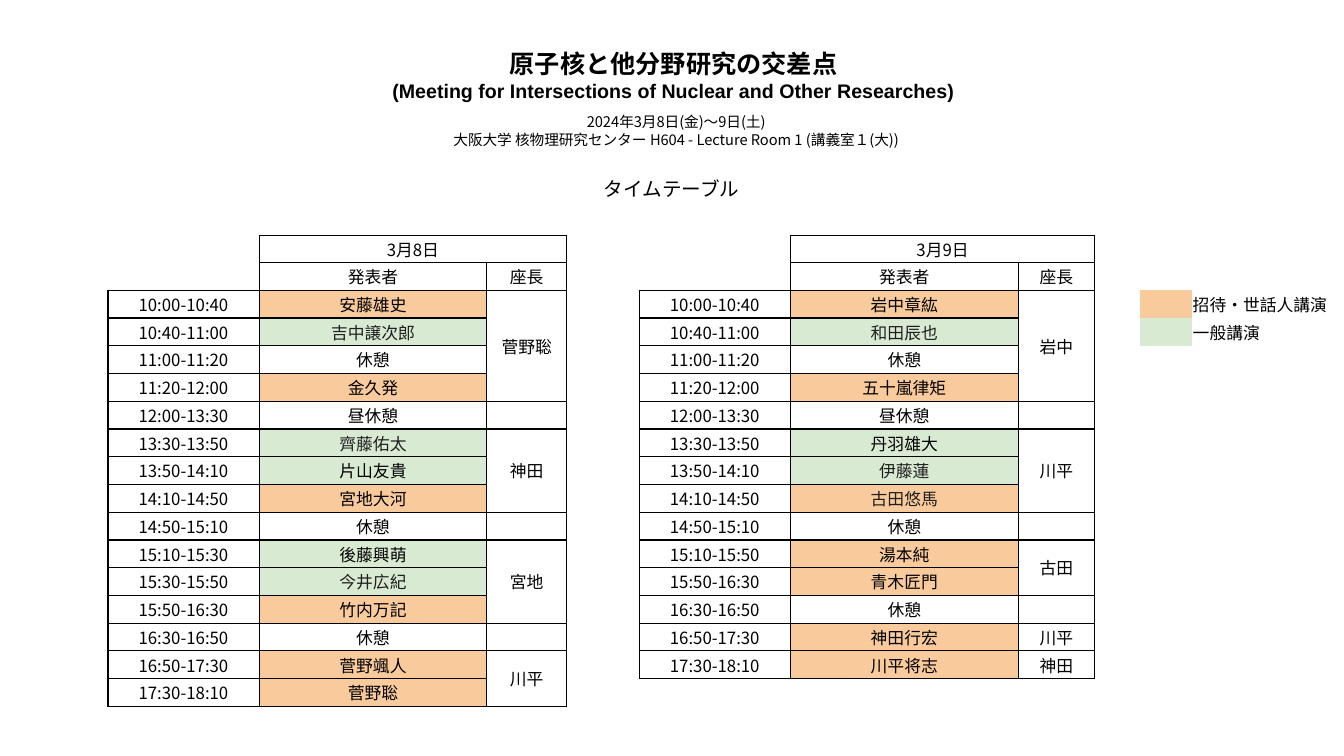
from dataclasses import dataclass
from typing import Optional

from lxml import etree
from pptx import Presentation
from pptx.dml.color import RGBColor
from pptx.enum.text import MSO_ANCHOR, MSO_AUTO_SIZE, PP_ALIGN
from pptx.oxml.ns import qn
from pptx.util import Cm, Pt

CENTER, LEFT = PP_ALIGN.CENTER, PP_ALIGN.LEFT
MIDDLE, BOTTOM = MSO_ANCHOR.MIDDLE, MSO_ANCHOR.BOTTOM
GROW = MSO_AUTO_SIZE.SHAPE_TO_FIT_TEXT

BLACK = RGBColor(0x00, 0x00, 0x00)
CHARCOAL = RGBColor(0x1F, 0x1F, 0x1F)
INVITED = RGBColor(0xF9, 0xCB, 0x9C)
GENERAL = RGBColor(0xD9, 0xEA, 0xD3)

GOTHIC, SANS = "Noto Sans CJK JP", "Arial"
NO_TABLE_STYLE = "{2D5ABB26-0587-4C30-8999-92F81FD0307C}"
TABLE_POINTS = 12
COLUMN_WIDTHS = (3.81, 5.74, 2.01, 1.83, 3.81, 5.74, 1.93, 1.14, 1.3, 4.34)
HEADER_HEIGHT, ROW_HEIGHT, ROW_COUNT = 0.51, 0.7, 17
FIRST_TALK_ROW = 2
SWATCH_COLUMN = 8
CHARCOAL_NAMES = {"吉中譲次郎", "齊藤佑太", "今井広紀", "和田辰也", "伊藤蓮", "古田悠馬"}


@dataclass
class Session:
    time: str
    speaker: str
    fill: Optional[RGBColor] = None


@dataclass
class Chair:
    name: str
    rows: int


@dataclass
class Day:
    title: str
    column: int
    sessions: list[Session]
    chairs: list[Chair]


@dataclass
class Line:
    text: str
    points: float
    font: str = GOTHIC
    bold: bool = False


@dataclass
class Caption:
    left: float
    top: float
    width: float
    height: float
    align: PP_ALIGN
    lines: list[Line]


DAYS = [
    Day("3月8日", 0, [
        Session("10:00-10:40", "安藤雄史", INVITED),
        Session("10:40-11:00", "吉中譲次郎", GENERAL),
        Session("11:00-11:20", "休憩"),
        Session("11:20-12:00", "金久発", INVITED),
        Session("12:00-13:30", "昼休憩"),
        Session("13:30-13:50", "齊藤佑太", GENERAL),
        Session("13:50-14:10", "片山友貴", GENERAL),
        Session("14:10-14:50", "宮地大河", INVITED),
        Session("14:50-15:10", "休憩"),
        Session("15:10-15:30", "後藤興萌", GENERAL),
        Session("15:30-15:50", "今井広紀", GENERAL),
        Session("15:50-16:30", "竹内万記", INVITED),
        Session("16:30-16:50", "休憩"),
        Session("16:50-17:30", "菅野颯人", INVITED),
        Session("17:30-18:10", "菅野聡", INVITED),
    ], [Chair("菅野聡", 4), Chair("", 1), Chair("神田", 3), Chair("", 1),
        Chair("宮地", 3), Chair("", 1), Chair("川平", 2)]),
    Day("3月9日", 4, [
        Session("10:00-10:40", "岩中章紘", INVITED),
        Session("10:40-11:00", "和田辰也", GENERAL),
        Session("11:00-11:20", "休憩"),
        Session("11:20-12:00", "五十嵐律矩", INVITED),
        Session("12:00-13:30", "昼休憩"),
        Session("13:30-13:50", "丹羽雄大", GENERAL),
        Session("13:50-14:10", "伊藤蓮", GENERAL),
        Session("14:10-14:50", "古田悠馬", INVITED),
        Session("14:50-15:10", "休憩"),
        Session("15:10-15:50", "湯本純", INVITED),
        Session("15:50-16:30", "青木匠門", INVITED),
        Session("16:30-16:50", "休憩"),
        Session("16:50-17:30", "神田行宏", INVITED),
        Session("17:30-18:10", "川平将志", INVITED),
    ], [Chair("岩中", 4), Chair("", 1), Chair("川平", 3), Chair("", 1),
        Chair("古田", 2), Chair("", 1), Chair("川平", 1), Chair("神田", 1)]),
]
LEGEND = [("招待・世話人講演", INVITED), ("一般講演", GENERAL)]
CAPTIONS = [
    Caption(8.76, 1.09, 16.43, 1.63, CENTER, [
        Line("原子核と他分野研究の交差点", 18, bold=True),
        Line("(Meeting for Intersections of Nuclear and Other Researches)", 14, SANS, True),
    ]),
    Caption(9.19, 2.72, 15.7, 1.19, CENTER, [
        Line("2024年3月8日(金)〜9日(土)", 10.5),
        Line("大阪大学 核物理研究センター H604 - Lecture Room 1 (講義室１(大))", 10.5),
    ]),
    Caption(14.96, 4.34, 3.96, 0.86, LEFT, [Line("タイムテーブル", 14)]),
]


def format_paragraph(para, line: Line, align: PP_ALIGN, color: RGBColor = BLACK) -> None:
    para.text = line.text
    para.alignment = align
    for span in para.runs:
        span.font.size = Pt(line.points)
        span.font.bold = line.bold
        span.font.name = line.font
        span.font.color.rgb = color
        etree.SubElement(span.font._element, qn("a:ea")).set("typeface", line.font)


def add_borders(cell) -> None:
    properties = cell._tc.get_or_add_tcPr()
    for side in ("a:lnL", "a:lnR", "a:lnT", "a:lnB"):
        border = etree.SubElement(properties, qn(side), w=str(Pt(1)))
        fill = etree.SubElement(border, qn("a:solidFill"))
        etree.SubElement(fill, qn("a:srgbClr"), val=str(BLACK))


def clear_cell(cell) -> None:
    """Give a cell thin margins, no fill and a small font for its empty line."""
    cell.margin_left = cell.margin_right = cell.margin_top = cell.margin_bottom = Cm(0.03)
    cell.vertical_anchor = MIDDLE
    cell.fill.background()
    ending = etree.SubElement(cell.text_frame.paragraphs[0]._p, qn("a:endParaRPr"))
    ending.set("sz", str(TABLE_POINTS * 100))


def write_cell(cell, text: str, fill: Optional[RGBColor] = None, align: PP_ALIGN = CENTER) -> None:
    color = CHARCOAL if text in CHARCOAL_NAMES else BLACK
    if text:
        format_paragraph(cell.text_frame.paragraphs[0], Line(text, TABLE_POINTS), align, color)
    if fill is not None:
        cell.fill.solid()
        cell.fill.fore_color.rgb = fill


def fill_day(table, day: Day) -> None:
    time, speaker, chair = range(day.column, day.column + 3)
    end_row = FIRST_TALK_ROW + len(day.sessions)
    for row in range(end_row):
        for column in range(time if row >= FIRST_TALK_ROW else speaker, chair + 1):
            add_borders(table.cell(row, column))
    table.cell(0, speaker).merge(table.cell(0, chair))
    write_cell(table.cell(0, speaker), day.title)
    write_cell(table.cell(1, speaker), "発表者")
    write_cell(table.cell(1, chair), "座長")
    for row, session in enumerate(day.sessions, FIRST_TALK_ROW):
        write_cell(table.cell(row, time), session.time)
        write_cell(table.cell(row, speaker), session.speaker, session.fill)
    row = FIRST_TALK_ROW
    for person in day.chairs:
        if person.rows > 1:
            table.cell(row, chair).merge(table.cell(row + person.rows - 1, chair))
        write_cell(table.cell(row, chair), person.name)
        row += person.rows


def add_timetable(page) -> None:
    height = HEADER_HEIGHT + ROW_HEIGHT * (ROW_COUNT - 1)
    frame = page.shapes.add_table(ROW_COUNT, len(COLUMN_WIDTHS), Cm(2.72), Cm(5.94),
                                  Cm(sum(COLUMN_WIDTHS)), Cm(height))
    table = frame.table
    table.first_row = table.horz_banding = False
    for style in frame.element.iter(qn("a:tableStyleId")):
        style.text = NO_TABLE_STYLE
    for column, width in zip(table.columns, COLUMN_WIDTHS):
        column.width = Cm(width)
    for index, row in enumerate(table.rows):
        row.height = Cm(ROW_HEIGHT if index else HEADER_HEIGHT)
    for cell in table.iter_cells():
        clear_cell(cell)
    for day in DAYS:
        fill_day(table, day)
    for row, (label, color) in enumerate(LEGEND, FIRST_TALK_ROW):
        write_cell(table.cell(row, SWATCH_COLUMN), "", color)
        label_cell = table.cell(row, SWATCH_COLUMN + 1)
        write_cell(label_cell, label, align=LEFT)
        label_cell.vertical_anchor = BOTTOM


def add_caption(page, caption: Caption) -> None:
    box = page.shapes.add_textbox(Cm(caption.left), Cm(caption.top),
                                  Cm(caption.width), Cm(caption.height))
    frame = box.text_frame
    frame.word_wrap = False
    frame.auto_size = GROW
    frame.text = "\n".join(line.text for line in caption.lines)
    for para, line in zip(frame.paragraphs, caption.lines):
        format_paragraph(para, line, caption.align)


def main() -> None:
    deck = Presentation()
    deck.slide_width, deck.slide_height = Cm(33.87), Cm(19.05)
    page = deck.slides.add_slide(deck.slide_layouts[6])
    add_timetable(page)
    for caption in CAPTIONS:
        add_caption(page, caption)
    deck.save("out.pptx")


if __name__ == "__main__":
    main()
